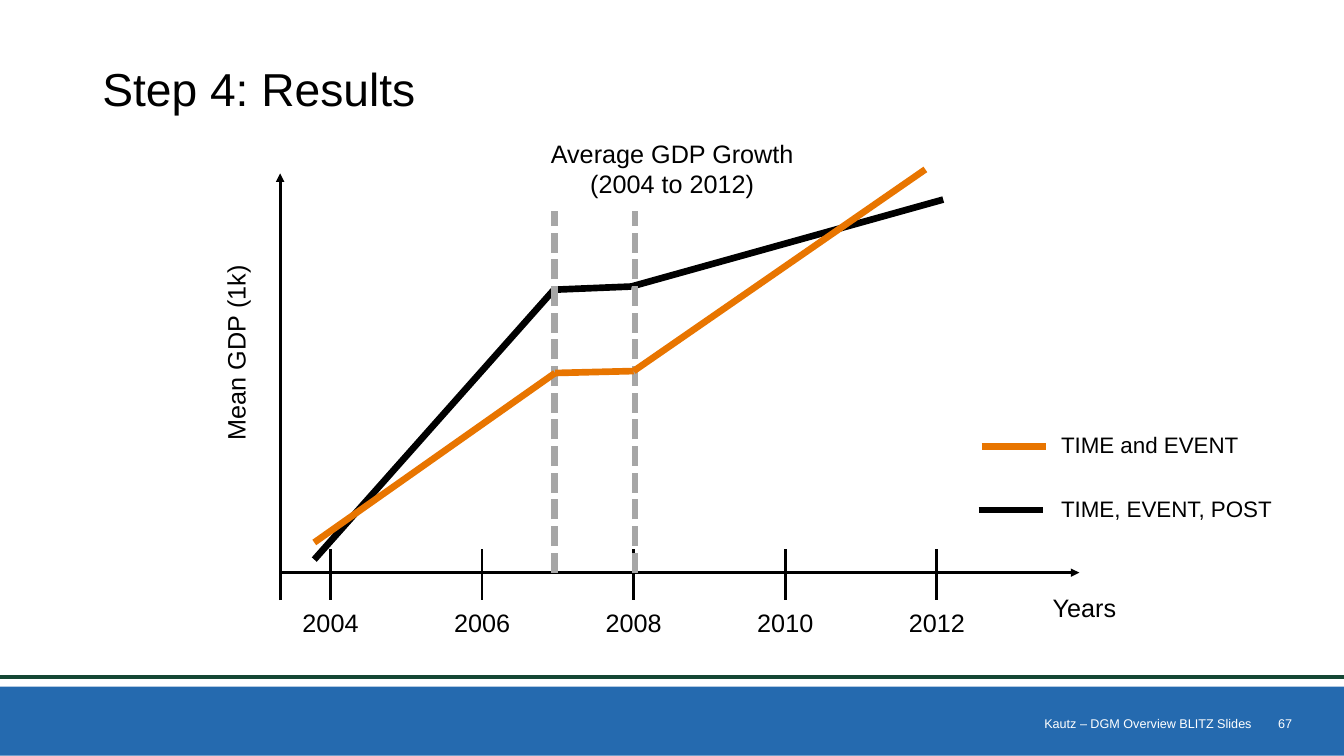
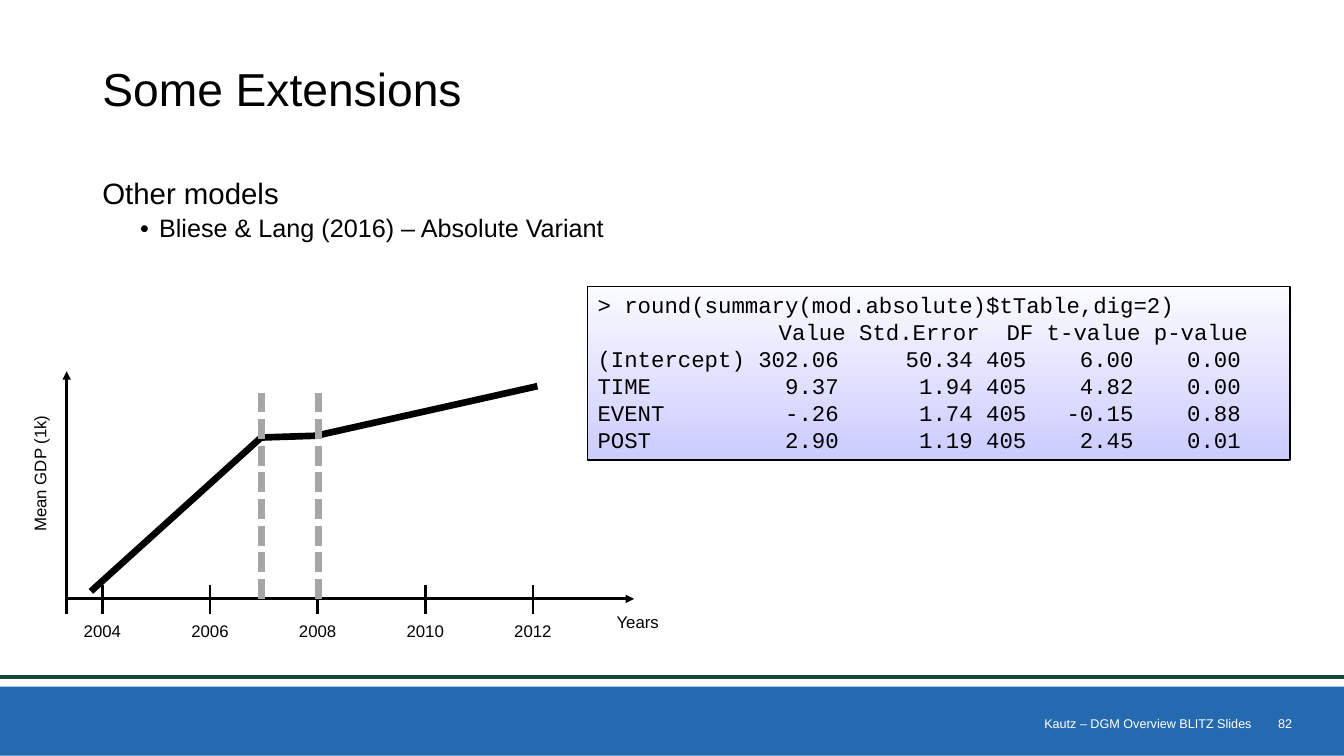
from dataclasses import dataclass
from itertools import pairwise

from lxml.etree import SubElement
from pptx import Presentation
from pptx.dml.color import RGBColor as RGB
from pptx.enum.dml import MSO_LINE as Dash
from pptx.enum.shapes import MSO_CONNECTOR as Link, MSO_SHAPE as Shape
from pptx.enum.text import MSO_ANCHOR as Anchor, PP_ALIGN as Align
from pptx.oxml.ns import qn
from pptx.util import Cm, Pt

# Shared style
WIDE, HIGH = 33.87, 19.05
BLACK = RGB(0x00, 0x00, 0x00)
WHITE = RGB(0xFF, 0xFF, 0xFF)
BLUE = RGB(0x25, 0x6A, 0xAF)
GREEN = RGB(0x15, 0x47, 0x34)
ORANGE = RGB(0xE8, 0x75, 0x00)
GREY = RGB(0xA6, 0xA6, 0xA6)
PALE = RGB(0xFA, 0xFA, 0xFF)
LILAC = RGB(0xCC, 0xCC, 0xFF)
SANS, MONO = "Arial", "Courier New"
THIN, THICK = 2, 4.75
FOOTER = "Kautz – DGM Overview BLITZ Slides"

# Plot geometry in cm from the origin, y upwards
YEARS = ("2004", "2006", "2008", "2010", "2012")
FIRST, STEP = 1.27, 3.82
BREAKS = (6.91, 8.94)
POST = ((0.86, 0.33), (6.9, 7.13), (8.85, 7.21), (16.71, 9.4))
EVENT = ((0.86, 0.76), (6.93, 5.03), (8.91, 5.08), (16.26, 10.16))

CODE = (
    "> round(summary(mod.absolute)$tTable,dig=2)",
    " \t      Value Std.Error  DF t-value p-value",
    "(Intercept) 302.06     50.34 405    6.00    0.00",
    "TIME          9.37      1.94 405    4.82    0.00",
    "EVENT         -.26      1.74 405   -0.15    0.88",
    "POST          2.90      1.19 405    2.45    0.01",
)


@dataclass(frozen=True)
class Plot:
    left: float
    base: float
    wide: float
    high: float
    size: float
    gap: float

    def spot(self, x: float, y: float) -> tuple[float, float]:
        return self.left + x * self.wide, self.base - y * self.high


@dataclass(frozen=True)
class Key:
    text: str
    color: RGB
    left: float
    top: float


KEYS = (
    Key("TIME and EVENT", ORANGE, 24.74, 11.25),
    Key("TIME, EVENT, POST", BLACK, 24.66, 12.85),
)
LARGE = Plot(7.06, 14.43, 1, 1, 18, 1.12)
SMALL = Plot(1.68, 15.09, 0.71, 0.57, 12, 0.68)


# Basic parts
def style(par, text: str, size: float, color: RGB = BLACK, font: str = SANS) -> None:
    par.add_run().text = text
    par.font.size, par.font.name = Pt(size), font
    par.font.color.rgb = color


def write(shapes, text: str, x: float, y: float, w: float, h: float, *,
          size: float = 18, color: RGB = BLACK, align=Align.LEFT,
          anchor=Anchor.TOP, wrap: bool = True, right: float = 0.25,
          space: float = 1, turn: float = 0):
    box = shapes.add_textbox(Cm(x), Cm(y), Cm(w), Cm(h))
    box.rotation = turn
    frame = box.text_frame
    frame.word_wrap, frame.vertical_anchor = wrap, anchor
    frame.margin_right = Cm(right)
    par = frame.paragraphs[0]
    par.alignment, par.line_spacing = align, space
    style(par, text, size, color)
    return frame


def draw(shapes, start: tuple[float, float], end: tuple[float, float], *,
         color: RGB = BLACK, width: float = THIN, dash: bool = False,
         arrow: bool = False) -> None:
    line = shapes.add_connector(Link.STRAIGHT, *map(Cm, start + end))
    line.line.color.rgb = color
    line.line.width = Pt(width)
    if dash:
        line.line.dash_style = Dash.SQUARE_DOT
    props = line._element.spPr
    if arrow:
        SubElement(props.find(qn("a:ln")), qn("a:tailEnd"), type="triangle")
    SubElement(props, qn("a:effectLst"))


def trace(shapes, plot: Plot, points, color: RGB) -> None:
    for start, end in pairwise(points):
        draw(shapes, plot.spot(*start), plot.spot(*end), color=color, width=THICK)


# Title, band and footer
def start(deck, title: str, number: str):
    shapes = deck.slides.add_slide(deck.slide_layouts[6]).shapes
    band = shapes.add_shape(Shape.RECTANGLE, 0, Cm(17.3), Cm(WIDE), Cm(1.74))
    band.shadow.inherit = False
    band.fill.solid()
    band.fill.fore_color.rgb = BLUE
    band.line.fill.background()
    draw(shapes, (0, 17.05), (WIDE, 17.05), color=GREEN, width=3)
    write(shapes, title, 2.33, 0.69, 29.21, 3.23, size=33,
          anchor=Anchor.MIDDLE, space=0.9)
    for text, x, w, right in ((number, 31.54, 1.27, 0.25), (FOOTER, 11.22, 20.32, 0)):
        write(shapes, text, x, 17.96, w, 0.53, size=9, color=WHITE,
              align=Align.RIGHT, anchor=Anchor.MIDDLE, right=right)
    return shapes


# Growth plot with axes, ticks, breaks and the main line
def chart(shapes, plot: Plot) -> None:
    group = shapes.add_group_shape().shapes
    draw(group, plot.spot(0, -0.69), plot.spot(0, 10.06), arrow=True)
    draw(group, plot.spot(0, 0), plot.spot(20.14, 0), arrow=True)

    def label(text: str, x: float, y: float, w: float) -> None:
        mid, top = plot.spot(x, y)
        w *= plot.wide
        write(group, text, mid - w / 2, top, w, plot.high,
              size=plot.size, align=Align.CENTER)

    label("Years", 20.27, -0.36, 2.24)
    for i, year in enumerate(YEARS):
        x = FIRST + i * STEP
        draw(group, plot.spot(x, 0.59), plot.spot(x, -0.68))
        label(year, x, -0.76, 3.4)

    mid, level = plot.spot(0, 5.54)
    span = 6.3 * plot.high
    write(group, "Mean GDP (1k)", mid - plot.gap - span / 2, level - 0.5, span, 1,
          size=plot.size, align=Align.CENTER, anchor=Anchor.MIDDLE, turn=270)

    trace(group, plot, POST, BLACK)
    for x in BREAKS:
        draw(group, plot.spot(x, 0), plot.spot(x, 9.12),
             color=GREY, width=THICK, dash=True)


# Slide 1
def results(deck) -> None:
    shapes = start(deck, "Step 4: Results", "67")
    write(shapes, "Average GDP Growth (2004 to 2012)", 13.41, 3.35, 7.06, 1.8,
          align=Align.CENTER)
    chart(shapes, LARGE)
    for key in KEYS:
        draw(shapes, (key.left, key.top), (key.left + 1.63, key.top),
             color=key.color, width=THICK)
        write(shapes, key.text, 26.49, key.top - 0.51, 5.9, 0.94, size=16, wrap=False)
    trace(shapes, LARGE, EVENT, ORANGE)


# Slide 2
def output(shapes) -> None:
    box = shapes.add_shape(Shape.RECTANGLE, Cm(14.81), Cm(7.22), Cm(17.7), Cm(4.37))
    box.shadow.inherit = False
    box.fill.gradient()
    box.fill.gradient_angle = 270
    for stop, color in zip(box.fill.gradient_stops, (PALE, LILAC)):
        stop.color.rgb = color
    box.line.color.rgb = BLACK
    box.line.width = Pt(1)
    frame = box.text_frame
    frame.word_wrap, frame.vertical_anchor = True, Anchor.TOP
    for i, text in enumerate(CODE):
        par = frame.add_paragraph() if i else frame.paragraphs[0]
        par.alignment = Align.LEFT
        if "\t" in text:
            tabs = SubElement(par._p.get_or_add_pPr(), qn("a:tabLst"))
            SubElement(tabs, qn("a:tab"), pos=str(Cm(2.54)), algn="l")
        style(par, text, 16, font=MONO)


def extras(deck) -> None:
    shapes = start(deck, "Some Extensions", "82")
    frame = write(shapes, "Other models", 2.33, 4.39, 29.21, 12.12, size=21, space=0.9)
    par = frame.add_paragraph()
    par.line_spacing, par.space_before = 0.9, Pt(3.8)
    props = par._p.get_or_add_pPr()
    props.set("marL", str(Cm(1.43)))
    props.set("indent", str(Cm(-0.48)))
    SubElement(props, qn("a:buFont"), typeface=SANS)
    SubElement(props, qn("a:buChar"), char="•")
    style(par, "Bliese & Lang (2016) – Absolute Variant", 18)
    output(shapes)
    chart(shapes, SMALL)


def main() -> None:
    deck = Presentation()
    deck.slide_width, deck.slide_height = Cm(WIDE), Cm(HIGH)
    results(deck)
    extras(deck)
    deck.save("out.pptx")


if __name__ == "__main__":
    main()
